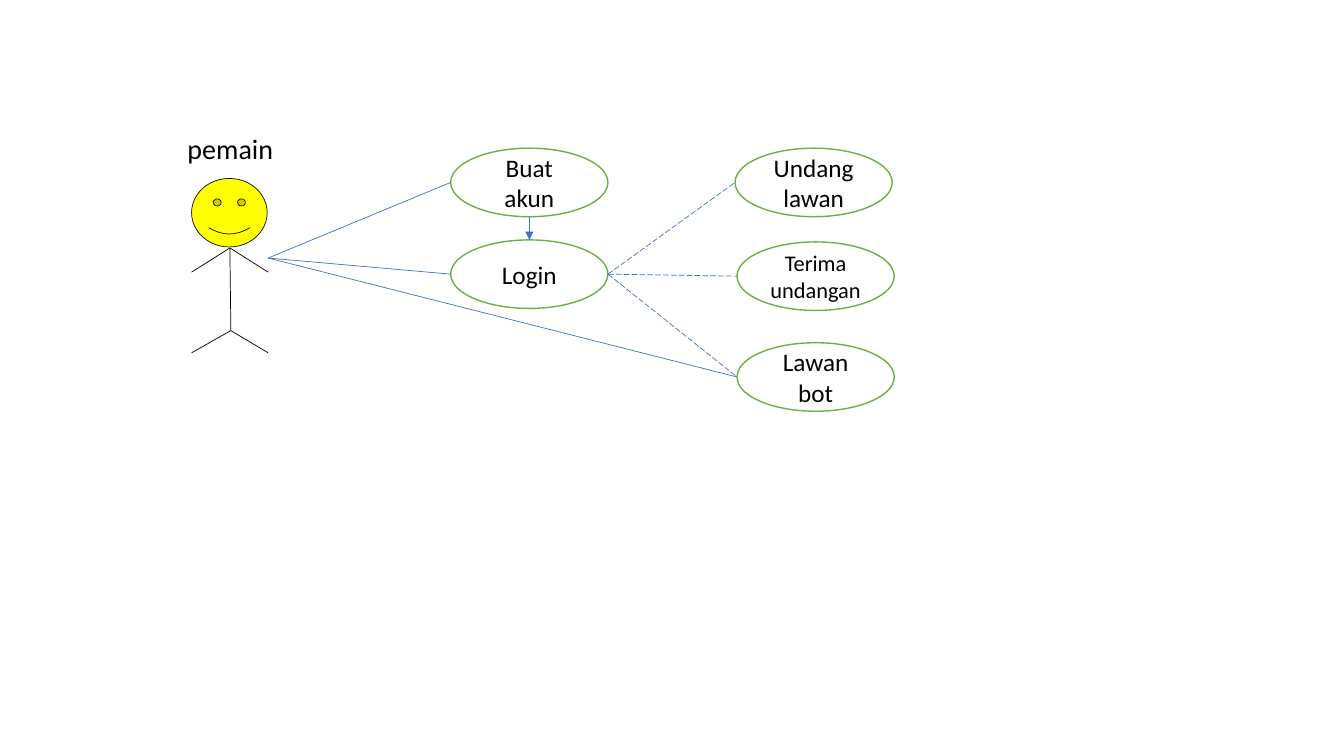
from lxml.etree import SubElement
from pptx import Presentation
from pptx.dml.color import RGBColor
from pptx.enum.dml import MSO_LINE
from pptx.enum.shapes import MSO_CONNECTOR, MSO_SHAPE
from pptx.enum.text import MSO_ANCHOR, MSO_AUTO_SIZE, PP_ALIGN
from pptx.oxml.ns import qn
from pptx.util import Inches, Pt

# Content: use case -> (label, left, top, text size)
ACTOR = "pemain"
CASES = {
    "account": ("Buat akun", 4.47, 1.47, 18),
    "login": ("Login", 4.47, 2.38, 18),
    "invite": ("Undang lawan", 7.29, 1.47, 18),
    "accept": ("Terima undangan", 7.31, 2.4, 16),
    "bot": ("Lawan bot", 7.31, 3.4, 18),
}
ACTOR_USES = ["account", "login", "bot"]
LOGIN_LEADS_TO = ["invite", "accept", "bot"]

# Geometry in inches
CASE_W, CASE_H = 1.56, 0.68
HEAD_X, HEAD_Y, HEAD_W, HEAD_H = 1.9, 1.77, 0.75, 0.68
BODY_X, NECK_Y, HIP_Y = 2.28, 2.46, 3.28
ARM_SPAN, ARM_DROP, LEG_DROP = 0.38, 0.24, 0.22
HAND = (BODY_X + ARM_SPAN, 2.56)

BLACK, BLUE, GREEN = "000000", "4472C4", "70AD47"


def rgb(color):
    return RGBColor.from_string(color)


def write(tf, text, size, anchor):
    tf.text = text
    tf.word_wrap = True
    tf.auto_size = MSO_AUTO_SIZE.NONE
    tf.vertical_anchor = anchor
    p = tf.paragraphs[0]
    p.alignment = PP_ALIGN.CENTER
    font = p.runs[0].font
    font.name, font.size, font.bold = "Calibri", Pt(size), False
    font.color.rgb = rgb(BLACK)


def add_shape(kind, x, y, w, h, fill, line, width):
    sp = s.shapes.add_shape(kind, Inches(x), Inches(y), Inches(w), Inches(h))
    sp.shadow.inherit = False
    sp.fill.solid()
    sp.fill.fore_color.rgb = rgb(fill)
    sp.line.color.rgb = rgb(line)
    sp.line.width = Pt(width)
    return sp


def add_line(start, end, color, dashed=False, arrow=False):
    ends = [Inches(v) for v in (*start, *end)]
    cxn = s.shapes.add_connector(MSO_CONNECTOR.STRAIGHT, *ends)
    cxn.line.color.rgb = rgb(color)
    cxn.line.width = Pt(0.5)
    if dashed:
        cxn.line.dash_style = MSO_LINE.LONG_DASH
    if arrow:
        SubElement(cxn.line._get_or_add_ln(), qn("a:tailEnd"), type="triangle")
    SubElement(cxn._element.spPr, qn("a:effectLst"))


def side(case, across, down):
    """Point on a use case, given as shares of its width and height."""
    _, x, y, _ = CASES[case]
    return x + across * CASE_W, y + down * CASE_H


prs = Presentation()
prs.slide_width, prs.slide_height = Inches(13.33), Inches(7.5)
s = prs.slides.add_slide(prs.slide_layouts[0])
subtitle = s.placeholders[1]._element
subtitle.getparent().remove(subtitle)

# Actor name
title = s.shapes.title
title.left, title.top = Inches(1.01), Inches(1.2)
title.width, title.height = Inches(2.55), Inches(0.49)
write(title.text_frame, ACTOR, 20, MSO_ANCHOR.BOTTOM)
title.text_frame.paragraphs[0].line_spacing = 0.9

# Stick figure
add_shape(MSO_SHAPE.SMILEY_FACE, HEAD_X, HEAD_Y, HEAD_W, HEAD_H, "FFFF00", "0D0D0D", 0.5)
neck, hip = (BODY_X, NECK_Y), (BODY_X + 0.01, HIP_Y)
add_line(neck, hip, BLACK)
for joint, drop in ((neck, ARM_DROP), (hip, LEG_DROP)):
    for direction in (1, -1):
        add_line(joint, (BODY_X + direction * ARM_SPAN, joint[1] + drop), BLACK)

# Use cases
for label, x, y, size in CASES.values():
    oval = add_shape(MSO_SHAPE.OVAL, x, y, CASE_W, CASE_H, "FFFFFF", GREEN, 1)
    write(oval.text_frame, label, size, MSO_ANCHOR.MIDDLE)

# Relations
for case in ACTOR_USES:
    add_line(side(case, 0, 0.5), HAND, BLUE)
for case in LOGIN_LEADS_TO:
    add_line(side("login", 1, 0.5), side(case, 0, 0.5), BLUE, dashed=True)
add_line(side("account", 0.5, 1), side("login", 0.5, 0), BLUE, arrow=True)

prs.save("out.pptx")
